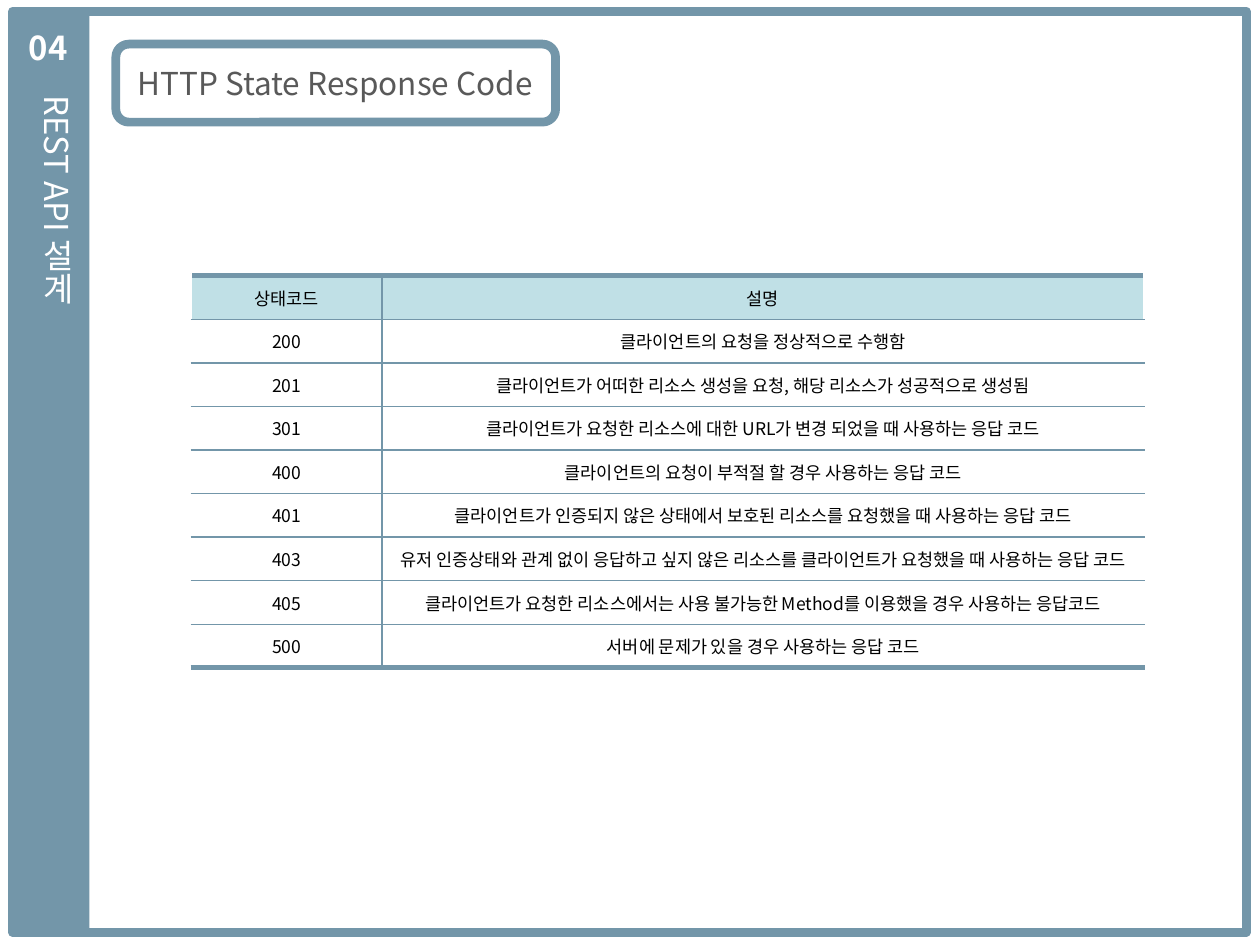
"""Builds the slide listing HTTP response codes for a REST API."""
from lxml.etree import SubElement
from pptx import Presentation
from pptx.dml.color import RGBColor
from pptx.enum.shapes import MSO_SHAPE
from pptx.enum.text import MSO_ANCHOR, MSO_AUTO_SIZE, PP_ALIGN
from pptx.oxml.ns import qn
from pptx.util import Pt

FONT = "Noto Sans CJK KR"
BLUE, PALE, WHITE, GRAY, BLACK = "7396A9", "C0E0E6", "FFFFFF", "595959", "000000"
rgb = RGBColor.from_string


def write(frame, text, size, color, align=PP_ALIGN.CENTER, bold=False):
    frame.text = text
    paragraph = frame.paragraphs[0]
    paragraph.alignment = align
    font = paragraph.font
    font.size, font.bold = Pt(size), bold
    font.color.rgb = rgb(color)
    font.name = FONT
    SubElement(paragraph._p.pPr.find(qn("a:defRPr")), qn("a:ea"), typeface=FONT)


def add_border(cell, side, color, width):
    line = SubElement(cell._tc.get_or_add_tcPr(), qn(f"a:ln{side}"), w=str(Pt(width)))
    SubElement(SubElement(line, qn("a:solidFill")), qn("a:srgbClr"), val=color)


prs = Presentation()
prs.slide_width, prs.slide_height = Pt(720), Pt(540)
slide = prs.slides.add_slide(prs.slide_layouts[5])

panels = [
    (MSO_SHAPE.RECTANGLE, (7.2, 6.5, 705, 526.3), False),
    (MSO_SHAPE.RECTANGLE, (7.2, 6.5, 44, 526.3), True),
    (MSO_SHAPE.ROUNDED_RECTANGLE, (66.2, 25.2, 251.3, 44.6), False),
]
for kind, box, filled in panels:
    panel = slide.shapes.add_shape(kind, *map(Pt, box))
    panel.shadow.inherit = False
    if filled:
        panel.fill.solid()
        panel.fill.fore_color.rgb = rgb(BLUE)
        panel.line.fill.background()
    else:
        panel.fill.background()
        panel.line.color.rgb = rgb(BLUE)
        panel.line.width = Pt(5)

title = slide.shapes.title
title.left, title.top, title.width, title.height = Pt(66.2), Pt(33.1), Pt(250.6), Pt(28.8)
title.text_frame.auto_size = MSO_AUTO_SIZE.NONE
title.text_frame.vertical_anchor = MSO_ANCHOR.MIDDLE
write(title.text_frame, "HTTP State Response Code", 18, GRAY)

number = slide.shapes.add_textbox(Pt(9.4), Pt(12.2), Pt(38.2), Pt(30.2)).text_frame
number.word_wrap = True
write(number, "04", 18.8, WHITE, PP_ALIGN.LEFT, True)

chapter = slide.shapes.add_textbox(Pt(10.1), Pt(47.5), Pt(37.4), Pt(136.1)).text_frame
chapter.word_wrap = False
chapter._txBody.bodyPr.set("vert", "eaVert")
write(chapter, "REST API 설계", 18.8, WHITE, PP_ALIGN.LEFT)

rows = [
    ("상태코드", "설명"),
    ("200", "클라이언트의 요청을 정상적으로 수행함"),
    ("201", "클라이언트가 어떠한 리소스 생성을 요청, 해당 리소스가 성공적으로 생성됨"),
    ("301", "클라이언트가 요청한 리소스에 대한 URL가 변경 되었을 때 사용하는 응답 코드"),
    ("400", "클라이언트의 요청이 부적절 할 경우 사용하는 응답 코드"),
    ("401", "클라이언트가 인증되지 않은 상태에서 보호된 리소스를 요청했을 때 사용하는 응답 코드"),
    ("403", "유저 인증상태와 관계 없이 응답하고 싶지 않은 리소스를 클라이언트가 요청했을 때 사용하는 응답 코드"),
    ("405", "클라이언트가 요청한 리소스에서는 사용 불가능한 Method를 이용했을 경우 사용하는 응답코드"),
    ("500", "서버에 문제가 있을 경우 사용하는 응답 코드"),
]
last = len(rows) - 1
codes = slide.shapes.add_table(len(rows), 2, Pt(109.4), Pt(157.6), Pt(544.4), Pt(224.1)).table
codes.first_row = codes.horz_banding = False
codes.columns[0].width, codes.columns[1].width = Pt(108.8), Pt(435.6)
for r, row in enumerate(rows):
    codes.rows[r].height = Pt(24.9)
    for c, text in enumerate(row):
        cell = codes.cell(r, c)
        cell.vertical_anchor = MSO_ANCHOR.MIDDLE
        cell.margin_left = cell.margin_right = Pt(3.6)
        write(cell.text_frame, text, 10, BLACK)
        add_border(cell, "L", BLUE if c else WHITE, 1)
        add_border(cell, "R", WHITE if c else BLUE, 1)
        add_border(cell, "T", BLUE, 3 if r == 0 else 1)
        add_border(cell, "B", BLUE, 3 if r == last else 1)
        cell.fill.solid()
        cell.fill.fore_color.rgb = rgb(WHITE if r else PALE)

prs.save("out.pptx")
